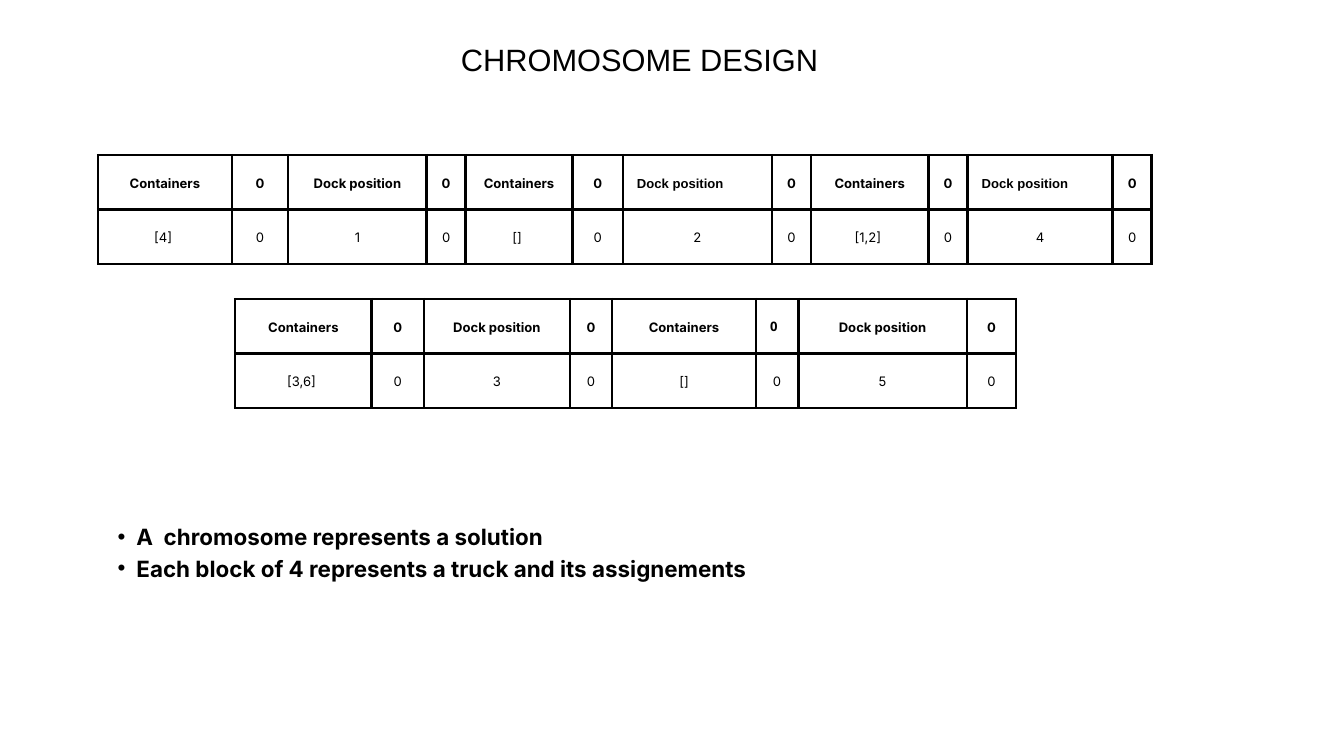
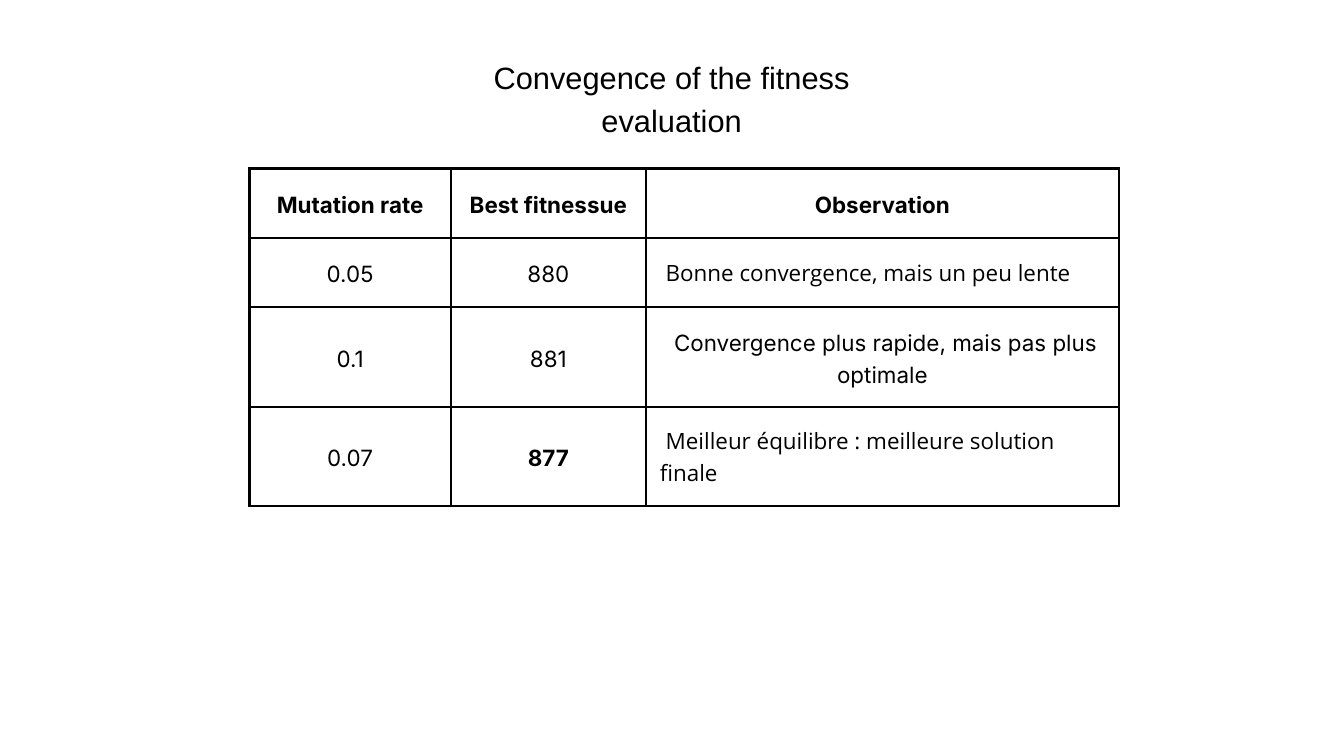
"""Builds two slides on chromosome design and fitness convergence."""
from lxml.etree import SubElement
from pptx import Presentation
from pptx.dml.color import RGBColor
from pptx.enum.text import MSO_ANCHOR as Anchor, MSO_AUTO_SIZE as AutoSize, PP_ALIGN as Align
from pptx.oxml.ns import qn
from pptx.util import Emu, Pt

PX = 9144
COLORS = {"ink": "000000", "paper": "FFFFFF"}
LINE_RATIO = 1.4
CELL_INSET = 21
BORDER = 3
LEFT_ARIAL = {"font": "Arial", "align": Align.LEFT}
LEFT_OPEN = {"font": "Open Sans", "align": Align.LEFT}


def px(length):
    return Emu(length * PX)


def write(paragraph, text, size=24, font="Inter", bold=False, align=Align.CENTER):
    paragraph.alignment = align
    paragraph.line_spacing = Pt(round(size * LINE_RATIO, 1))
    paragraph.space_before = Pt(0)
    run = paragraph.add_run()
    run.text = text
    run.font.size = Pt(size)
    run.font.name = font
    run.font.bold = bold
    run.font.color.rgb = RGBColor.from_string(COLORS["ink"])


class Deck:
    def __init__(self):
        self.presentation = Presentation()
        self.presentation.slide_width = px(2000)
        self.presentation.slide_height = px(1125)
        self.slide = None

    def add_slide(self, layout):
        self.slide = self.presentation.slides.add_slide(self.presentation.slide_layouts[layout])
        fill = self.slide.background.fill
        fill.solid()
        fill.fore_color.rgb = RGBColor.from_string(COLORS["paper"])

    def place(self, shape, left, top, width, height):
        shape.left, shape.top, shape.width, shape.height = map(px, (left, top, width, height))
        frame = shape.text_frame
        frame.margin_left = frame.margin_top = frame.margin_right = frame.margin_bottom = 0
        frame.vertical_anchor = Anchor.TOP
        frame.word_wrap = True
        frame.auto_size = AutoSize.SHAPE_TO_FIT_TEXT
        return frame

    def title(self, text, left, top, width):
        frame = self.place(self.slide.shapes.title, left, top, width, 62)
        write(frame.paragraphs[0], text, size=33, font="Arial")

    def bullets(self, lines, left, top, width, height):
        frame = self.place(self.slide.placeholders[1], left, top, width, height)
        for index, line in enumerate(lines):
            paragraph = frame.add_paragraph() if index else frame.paragraphs[0]
            paragraph.level = 1
            properties = paragraph._p.get_or_add_pPr()
            properties.set("marL", str(px(57)))
            properties.set("indent", str(px(-28)))
            SubElement(properties, qn("a:buFont"), typeface="Arial")
            SubElement(properties, qn("a:buChar"), char="•")
            write(paragraph, line, bold=True, align=Align.JUSTIFY)

    def table(self, rows, left, top, widths, heights, size, special):
        frame = self.slide.shapes.add_table(len(rows), len(widths), px(left), px(top),
                                            px(sum(widths)), px(sum(heights)))
        table = frame.table
        table.first_row = table.horz_banding = False
        for column, width in zip(table.columns, widths):
            column.width = px(width)
        for row, height in zip(table.rows, heights):
            row.height = px(height)
        for row_index, texts in enumerate(rows):
            for column_index, text in enumerate(texts):
                cell = table.cell(row_index, column_index)
                self.style_cell(cell)
                style = {"bold": row_index == 0, **special.get((row_index, column_index), {})}
                write(cell.text_frame.paragraphs[0], text, size=size, **style)

    def style_cell(self, cell):
        cell.margin_left = cell.margin_right = cell.margin_top = cell.margin_bottom = px(CELL_INSET)
        cell.vertical_anchor = Anchor.MIDDLE
        properties = cell._tc.get_or_add_tcPr()
        for side in ("lnL", "lnR", "lnT", "lnB"):
            line = SubElement(properties, qn(f"a:{side}"), w=str(Pt(BORDER)))
            fill = SubElement(line, qn("a:solidFill"))
            SubElement(fill, qn("a:srgbClr"), val=COLORS["ink"])
        cell.fill.background()

    def chromosome(self, genes, left, top, widths, special):
        header = ["Containers", "0", "Dock position", "0"] * len(genes)
        values = [value for containers, dock in genes for value in (containers, "0", dock, "0")]
        self.table([header, values], left, top, widths, [81, 81], 14, special)


def main():
    deck = Deck()

    deck.add_slide(1)
    deck.title("CHROMOSOME DESIGN", 501, 51, 902)
    deck.chromosome([("[4] ", "1"), ("[] ", "2"), ("[1,2] ", "4")], 146, 231,
                    [199, 84, 206, 58, 159, 75, 222, 58, 175, 58, 216, 58],
                    {(0, 6): LEFT_ARIAL, (0, 10): LEFT_ARIAL})
    deck.chromosome([("[3,6] ", "3"), ("[]", "5")], 350, 445,
                    [203, 78, 217, 63, 214, 63, 251, 73], {(0, 5): LEFT_OPEN})
    deck.bullets(["A  chromosome represents a solution",
                  "Each block of 4 represents a truck and its assignements"], 146, 772, 1418, 90)

    deck.add_slide(5)
    deck.title("Convegence of the fitness evaluation", 659, 78, 681)
    results = [
        ["Mutation rate", "Best fitnessue", "Observation"],
        ["0.05", "880", " Bonne convergence, mais un peu lente"],
        ["0.1", "881", " Convergence plus rapide, mais pas plus optimale"],
        ["0.07", "877", " Meilleur équilibre : meilleure solution finale"],
    ]
    deck.table(results, 371, 251, [300, 290, 704], [103, 103, 149, 147], 24,
               {(1, 2): LEFT_OPEN, (3, 1): {"bold": True}, (3, 2): LEFT_OPEN})

    deck.presentation.save("out.pptx")


if __name__ == "__main__":
    main()
